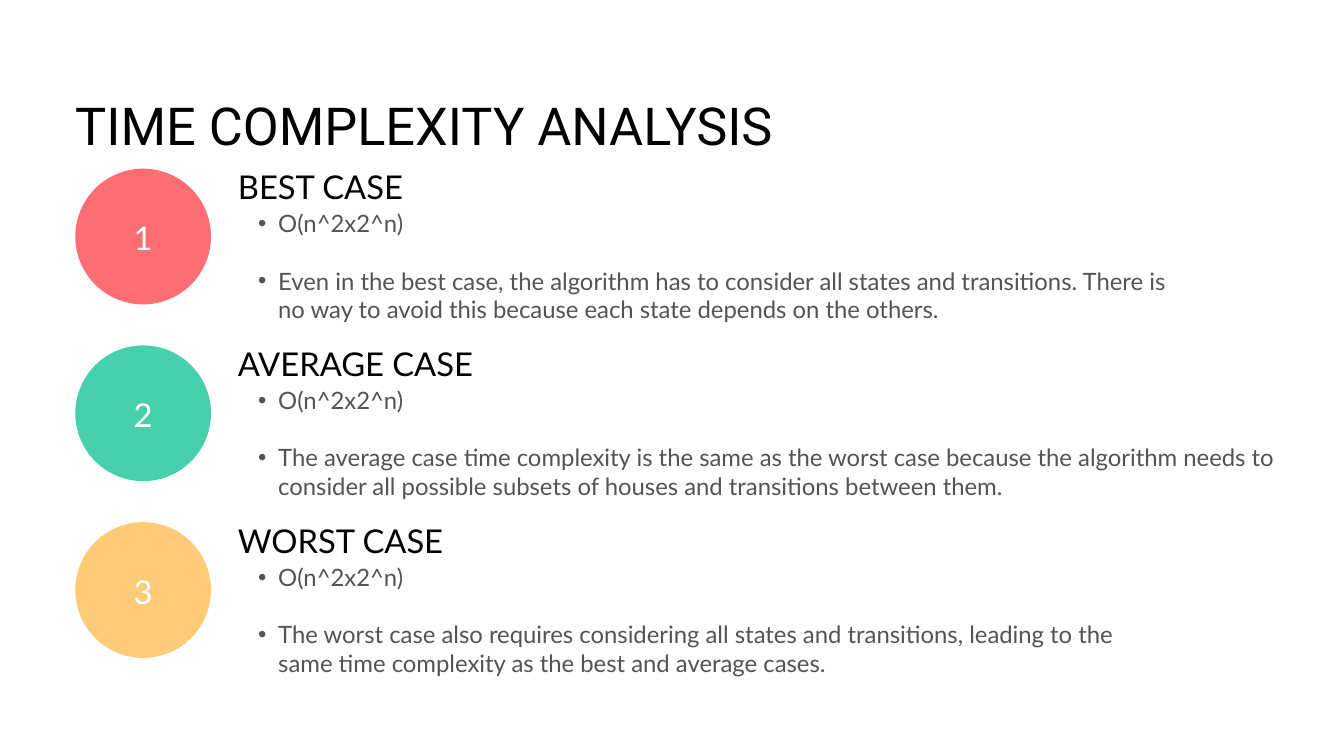
from dataclasses import dataclass

import pptx
import pptx.dml.color
import pptx.enum.shapes
import pptx.enum.text
import pptx.oxml.ns
import pptx.slide
import pptx.text.text
import pptx.util
from lxml import etree

Inches = pptx.util.Inches
Pt = pptx.util.Pt
RGBColor = pptx.dml.color.RGBColor
Align = pptx.enum.text.PP_ALIGN

BLACK = RGBColor(0x00, 0x00, 0x00)
WHITE = RGBColor(0xFF, 0xFF, 0xFF)
GRAY = RGBColor(0x54, 0x54, 0x54)
RED = RGBColor(0xFE, 0x6D, 0x73)
GREEN = RGBColor(0x48, 0xCF, 0xAE)
YELLOW = RGBColor(0xFF, 0xCB, 0x77)

LEFT = 1.12
TOP = 2.51
STEP = 2.63
DISC = 2.02
INDENT = 3.54
ORDER = "O(n^2x2^n)"


@dataclass
class Case:
    title: str
    reason: str
    color: RGBColor
    head: float
    body: float


CASES = [
    Case(
        "BEST CASE",
        "Even in the best case, the algorithm has to consider all states and "
        "transitions. There is no way to avoid this because each state "
        "depends on the others.",
        RED, 7.61, 14.26,
    ),
    Case(
        "AVERAGE CASE",
        "The average case time complexity is the same as the worst case "
        "because the algorithm needs to consider all possible subsets of "
        "houses and transitions between them.",
        GREEN, 6.83, 16,
    ),
    Case(
        "WORST CASE",
        "The worst case also requires considering all states and "
        "transitions, leading to the same time complexity as the best and "
        "average cases.",
        YELLOW, 8.71, 13.35,
    ),
]


def set_bullet(para: pptx.text.text._Paragraph) -> None:
    para.level = 1
    props = para._p.get_or_add_pPr()
    props.set("marL", str(Inches(0.6)))
    props.set("indent", str(Inches(-0.3)))
    font = etree.SubElement(props, pptx.oxml.ns.qn("a:buFont"))
    font.set("typeface", "Arial")
    mark = etree.SubElement(props, pptx.oxml.ns.qn("a:buChar"))
    mark.set("char", "•")


def add_text(
    slide: pptx.slide.Slide,
    lines: list[str],
    left: float,
    top: float,
    width: float,
    height: float,
    *,
    size: float = 35.1,
    pitch: float = 49.1,
    font: str = "Lato",
    color: RGBColor = BLACK,
    align: Align = Align.LEFT,
    bullet: bool = False,
    gap: float = 0,
) -> None:
    box = slide.shapes.add_textbox(
        Inches(left), Inches(top), Inches(width), Inches(height)
    )
    frame = box.text_frame
    frame.word_wrap = True
    frame.margin_left = frame.margin_right = 0
    frame.margin_top = frame.margin_bottom = 0
    for index, line in enumerate(lines):
        para = frame.add_paragraph() if index else frame.paragraphs[0]
        para.alignment = align
        para.line_spacing = Pt(pitch)
        para.space_before = Pt(gap if index else 0)
        if bullet:
            set_bullet(para)
        run = para.add_run()
        run.text = line
        run.font.name = font
        run.font.size = Pt(size)
        run.font.color.rgb = color


def add_disc(slide: pptx.slide.Slide, top: float, color: RGBColor) -> None:
    disc = slide.shapes.add_shape(
        pptx.enum.shapes.MSO_SHAPE.OVAL,
        Inches(LEFT), Inches(top), Inches(DISC), Inches(DISC),
    )
    disc.shadow.inherit = False
    disc.fill.solid()
    disc.fill.fore_color.rgb = color
    disc.line.fill.background()


def add_case(slide: pptx.slide.Slide, index: int, case: Case) -> None:
    top = TOP + index * STEP
    add_disc(slide, top, case.color)
    add_text(slide, [str(index + 1)], LEFT, top + 0.64, DISC, 0.67,
             color=WHITE, align=Align.CENTER)
    add_text(slide, [case.title], INDENT, top - 0.12, case.head, 0.67)
    add_text(slide, [ORDER, case.reason], INDENT, top + 0.6, case.body, 2.08,
             size=25.6, pitch=30.7, color=GRAY, bullet=True, gap=30.7)


def main() -> None:
    deck = pptx.Presentation()
    deck.slide_width = Inches(20)
    deck.slide_height = Inches(11.25)
    slide = deck.slides.add_slide(deck.slide_layouts[6])
    add_text(slide, ["TIME COMPLEXITY ANALYSIS"], LEFT, 1.55, 11.8, 0.92,
             size=56, pitch=55.4, font="Roboto")
    for index, case in enumerate(CASES):
        add_case(slide, index, case)
    deck.save("out.pptx")


if __name__ == "__main__":
    main()
